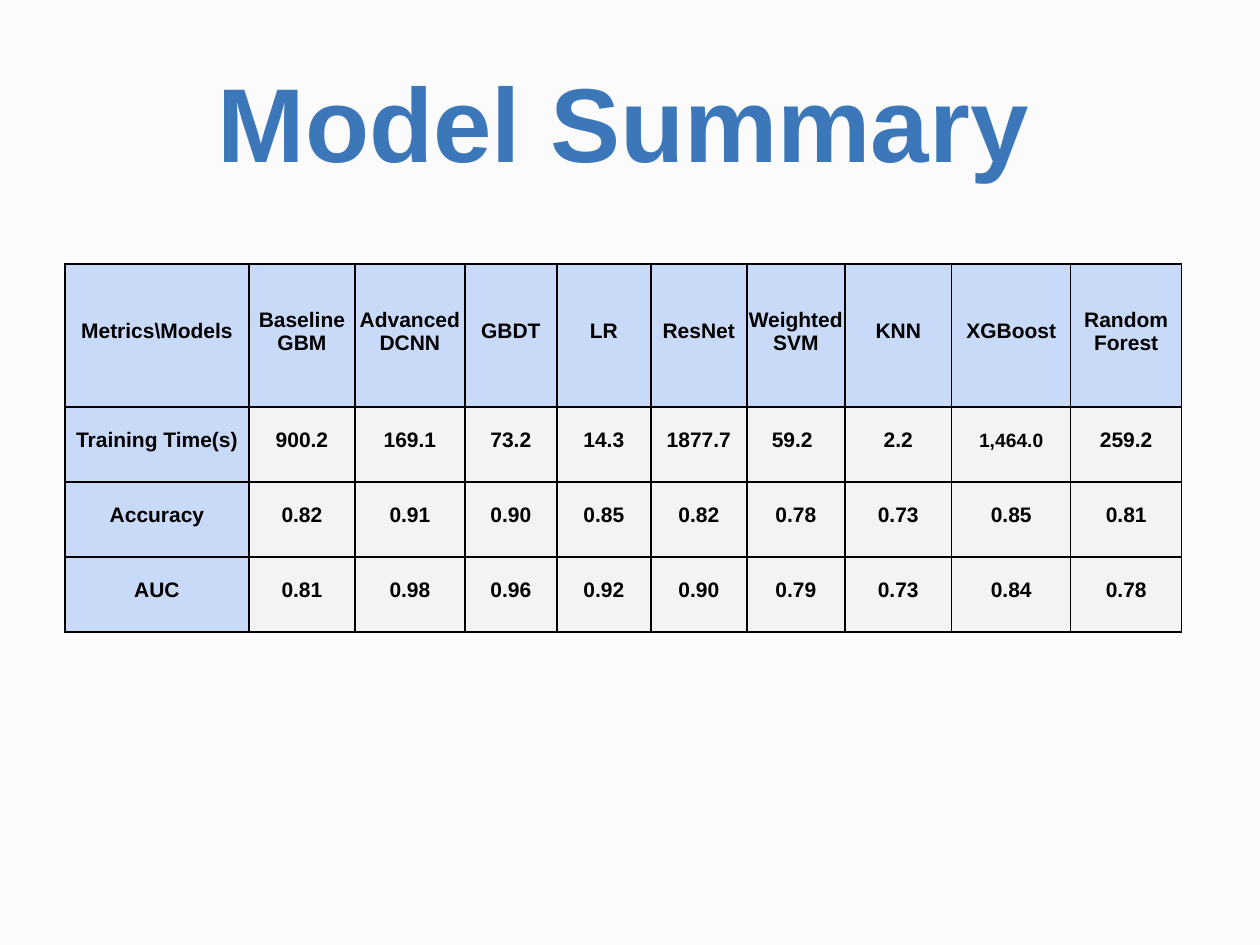
from lxml.etree import SubElement
from pptx import Presentation
from pptx.dml.color import RGBColor
from pptx.enum.text import MSO_ANCHOR, PP_ALIGN
from pptx.oxml.ns import qn
from pptx.util import Emu, Pt

PX = 914400 / 126
FONT = "Arial"
BACKGROUND = RGBColor(0xFB, 0xFB, 0xFC)
TITLE_BLUE = RGBColor(0x3C, 0x78, 0xB9)
HEADER_BLUE = RGBColor(0xC9, 0xDA, 0xF8)
CELL_GREY = RGBColor(0xF3, 0xF3, 0xF3)
BLACK = RGBColor(0, 0, 0)

TITLE_BOX = (132, 30, 983, 180)
TABLE_BOX = (65, 264, 1117, 368)
COLUMN_WIDTHS = [184, 106, 110, 92, 94, 96, 98, 107, 119, 111]
BODY_ROW_HEIGHT = 75

ROWS = [
    ["Metrics\\Models", "Baseline GBM", "Advanced\nDCNN", "GBDT", "LR", "ResNet",
     "Weighted\nSVM", "KNN", "XGBoost", "Random Forest"],
    ["Training Time(s)", "900.2", "169.1", "73.2", "14.3", "1877.7",
     "59.2", "2.2", "1,464.0", "259.2"],
    ["Accuracy", "0.82", "0.91", "0.90", "0.85", "0.82", "0.78", "0.73", "0.85", "0.81"],
    ["AUC", "0.81", "0.98", "0.96", "0.92", "0.90", "0.79", "0.73", "0.84", "0.78"],
]
LEFT_ALIGNED_CELL = (1, 6)
SMALL_TEXT_CELL = (1, 8)


def px(length):
    return Emu(round(length * PX))


def style_paragraph(paragraph, size, color, alignment=PP_ALIGN.CENTER):
    paragraph.alignment = alignment
    paragraph.font.name = FONT
    paragraph.font.size = Pt(size)
    paragraph.font.bold = True
    paragraph.font.color.rgb = color


def add_title(slide, box):
    shape = slide.shapes.add_textbox(*map(px, box))
    frame = shape.text_frame
    frame.word_wrap = True
    frame.vertical_anchor = MSO_ANCHOR.MIDDLE
    frame.margin_left = frame.margin_right = px(9)
    frame.margin_top = frame.margin_bottom = 0
    frame.text = "Model Summary"
    style_paragraph(frame.paragraphs[0], 60, TITLE_BLUE)


def add_borders(cell):
    """Draw a 1 pt black line on each side; call before the fill is set."""
    properties = cell._tc.get_or_add_tcPr()
    for side in ("a:lnL", "a:lnR", "a:lnT", "a:lnB"):
        line = SubElement(properties, qn(side), w=str(Pt(1)))
        fill = SubElement(line, qn("a:solidFill"))
        SubElement(fill, qn("a:srgbClr"), val=str(BLACK))


def fill_cell(cell, text, color, size, alignment, left_margin):
    add_borders(cell)
    cell.fill.solid()
    cell.fill.fore_color.rgb = color
    cell.vertical_anchor = MSO_ANCHOR.MIDDLE
    cell.margin_left = px(left_margin)
    cell.margin_top = cell.margin_right = px(1)
    cell.margin_bottom = px(9)
    cell.text = text
    for paragraph in cell.text_frame.paragraphs:
        style_paragraph(paragraph, size, BLACK, alignment)


def add_metrics_table(slide, box):
    frame = slide.shapes.add_table(len(ROWS), len(COLUMN_WIDTHS), *map(px, box))
    table = frame.table
    for column, width in zip(table.columns, COLUMN_WIDTHS):
        column.width = px(width)
    body_rows = len(ROWS) - 1
    table.rows[0].height = px(box[3] - body_rows * BODY_ROW_HEIGHT)
    for index in range(1, len(ROWS)):
        table.rows[index].height = px(BODY_ROW_HEIGHT)

    for row, texts in enumerate(ROWS):
        for column, text in enumerate(texts):
            is_header = row == 0 or column == 0
            is_left = (row, column) == LEFT_ALIGNED_CELL
            fill_cell(
                table.cell(row, column),
                text,
                color=HEADER_BLUE if is_header else CELL_GREY,
                size=11 if (row, column) == SMALL_TEXT_CELL else 12,
                alignment=PP_ALIGN.LEFT if is_left else PP_ALIGN.CENTER,
                left_margin=25 if is_left else 1,
            )


def main():
    presentation = Presentation()
    presentation.slide_width = px(1260)
    presentation.slide_height = px(945)
    slide = presentation.slides.add_slide(presentation.slide_layouts[6])
    slide.background.fill.solid()
    slide.background.fill.fore_color.rgb = BACKGROUND
    add_title(slide, TITLE_BOX)
    add_metrics_table(slide, TABLE_BOX)
    presentation.save("out.pptx")


if __name__ == "__main__":
    main()
